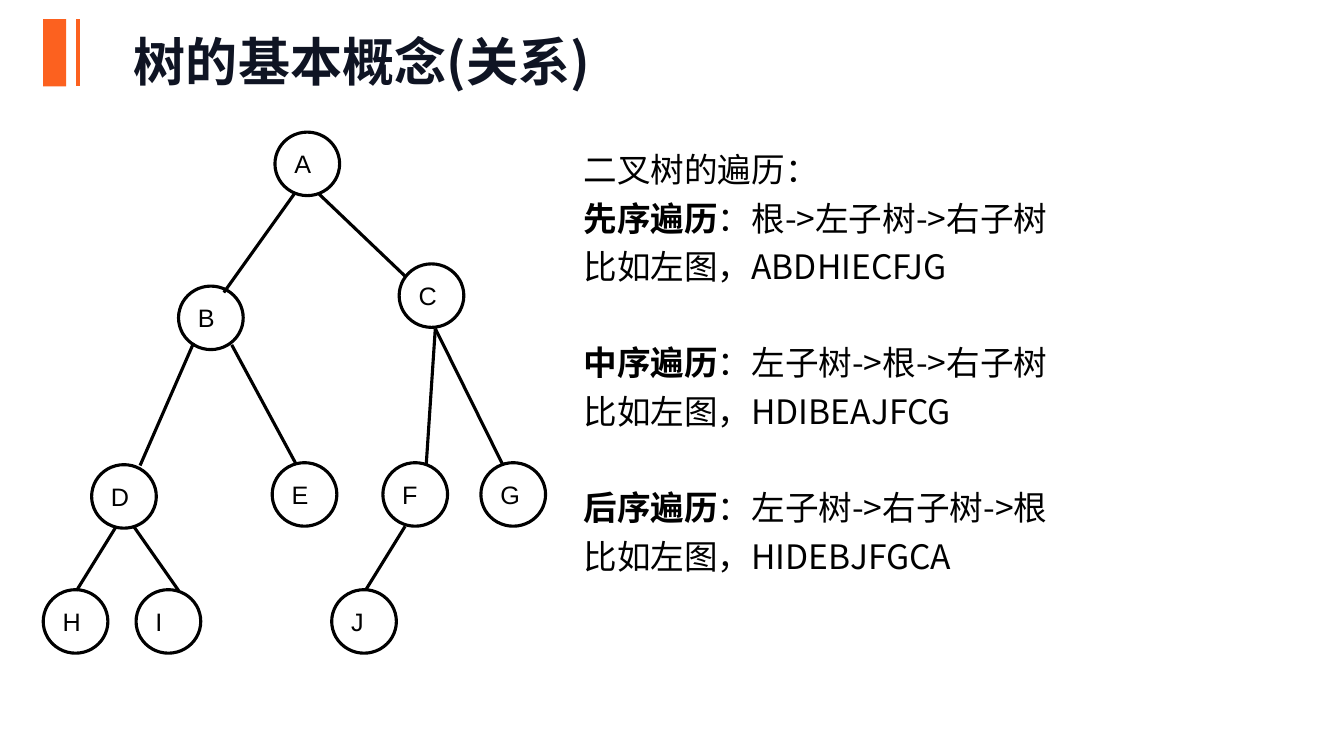
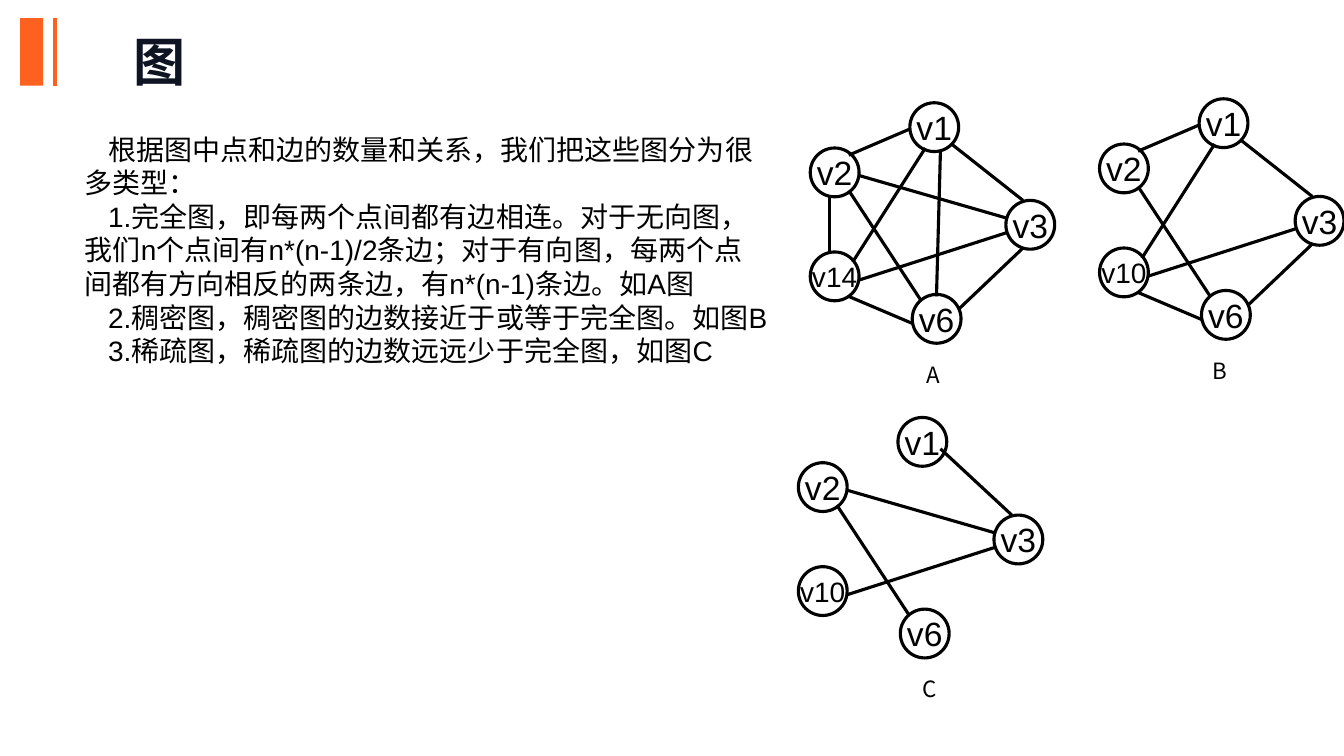
from lxml.etree import SubElement
from pptx import Presentation
from pptx.dml.color import RGBColor
from pptx.enum.shapes import MSO_CONNECTOR as Connector, MSO_SHAPE as Preset
from pptx.enum.text import MSO_ANCHOR as Anchor, MSO_AUTO_SIZE as AutoSize, PP_ALIGN as Align
from pptx.oxml.ns import qn
from pptx.util import Cm, Pt

ORANGE, NAVY, BLACK = "FC611F", "0F1423", "000000"
SANS, CJK = "Arial", "Noto Sans CJK SC"


def color(value):
    return RGBColor.from_string(value)


class Deck:
    def __init__(self):
        self.presentation = Presentation()
        self.presentation.slide_width = Cm(33.87)
        self.presentation.slide_height = Cm(19.05)
        self.slide = None

    def add_slide(self, title, mark_left, mark_top):
        layout = self.presentation.slide_layouts[1]
        self.slide = self.presentation.slides.add_slide(layout)
        self.mark(mark_left, mark_top)
        shape = self.slide.shapes.title
        self.place(shape, 3.12, -0.43, 25.98, 3.45)
        shape.text_frame.text = title
        shape.text_frame.vertical_anchor = Anchor.MIDDLE
        paragraph = shape.text_frame.paragraphs[0]
        self.style(paragraph, 37.2, CJK, NAVY, bold=True)
        paragraph.line_spacing = Pt(58)

    def place(self, shape, left, top, width, height):
        shape.left, shape.top = Cm(left), Cm(top)
        shape.width, shape.height = Cm(width), Cm(height)
        shape.text_frame.auto_size = AutoSize.NONE

    def style(self, paragraph, size, font, fill=BLACK, bold=False, align=Align.LEFT):
        paragraph.alignment = align
        paragraph.font.size = Pt(size)
        paragraph.font.bold = bold
        paragraph.font.name = font
        paragraph.font.color.rgb = color(fill)
        properties = paragraph._p.get_or_add_pPr().get_or_add_defRPr()
        SubElement(properties, qn("a:ea")).set("typeface", CJK)

    def mark(self, left, top):
        height = 1.7
        shape = self.slide.shapes.add_shape(
            Preset.RECTANGLE, Cm(left), Cm(top), Cm(0.58), Cm(height))
        shape.shadow.inherit = False
        shape.fill.solid()
        shape.fill.fore_color.rgb = color(ORANGE)
        shape.line.fill.background()
        rule = left + 0.87
        self.line((rule, top), (rule, top + height), ORANGE, 3)

    def line(self, start, end, stroke=BLACK, width=2.25):
        connector = self.slide.shapes.add_connector(
            Connector.STRAIGHT, *(Cm(value) for value in (*start, *end)))
        connector.line.color.rgb = color(stroke)
        connector.line.width = Pt(width)
        SubElement(connector._element.spPr, qn("a:effectLst"))

    def node(self, label, left, top, width, height, size, align):
        shape = self.slide.shapes.add_shape(
            Preset.OVAL, Cm(left), Cm(top), Cm(width), Cm(height))
        shape.shadow.inherit = False
        shape.fill.background()
        shape.line.color.rgb = color(BLACK)
        shape.line.width = Pt(2.25)
        frame = shape.text_frame
        frame.word_wrap = False
        frame.vertical_anchor = Anchor.MIDDLE
        frame.text = label
        self.style(frame.paragraphs[0], size, SANS, align=align)

    def caption(self, text, left, top):
        shape = self.slide.shapes.add_textbox(Cm(left), Cm(top), Cm(0.9), Cm(1.07))
        frame = shape.text_frame
        frame.word_wrap = False
        frame.text = text
        self.style(frame.paragraphs[0], 16, CJK)
        frame.paragraphs[0].line_spacing = 1.3

    def body(self, box, items, size, font, spacing, indent=0):
        shape = self.slide.placeholders[1]
        self.place(shape, *box)
        frame = shape.text_frame
        for index, (heading, text) in enumerate(items):
            paragraph = frame.add_paragraph() if index else frame.paragraphs[0]
            if heading:
                run = paragraph.add_run()
                run.text = heading
                run.font.bold = True
            paragraph.add_run().text = text
            paragraph.line_spacing = Pt(spacing)
            paragraph.space_before = Pt(spacing if heading and index > 1 else 0)
            properties = paragraph._p.get_or_add_pPr()
            properties.set("marL", "0")
            properties.set("indent", str(Cm(indent)))
            SubElement(properties, qn("a:buNone"))
            self.style(paragraph, size, font)

    def tree(self, nodes, edges):
        for start, end in edges:
            self.line(start, end)
        for label, (left, top) in nodes.items():
            self.node(label, left, top, 1.63, 1.6, 18, Align.LEFT)

    def graph(self, name, origin, caption_left, labels, edges):
        left, top = origin
        for label, (x, y) in zip(labels, GRAPH_NODES):
            size = 20 if len(label) > 2 else 24
            self.node(label, left + x, top + y, 1.23, 1.23, size, Align.CENTER)
        for x1, y1, x2, y2 in edges:
            self.line((left + x1, top + y1), (left + x2, top + y2))
        self.caption(name, left + caption_left, top + 6.17)


TREE_NODES = {
    "A": (6.93, 3.33), "B": (4.5, 7.21), "C": (10.06, 6.65),
    "D": (2.31, 11.71), "E": (6.86, 11.66), "F": (9.65, 11.66), "G": (12.12, 11.66),
    "H": (1.09, 14.86), "I": (3.43, 14.86), "J": (8.36, 14.86),
}
TREE_EDGES = [
    ((7.42, 4.88), (5.64, 7.37)), ((8.03, 4.88), (10.21, 6.96)),
    ((4.88, 8.64), (3.53, 11.73)), ((5.84, 8.69), (7.47, 11.71)),
    ((10.97, 8.28), (10.74, 11.73)), ((10.97, 8.28), (12.67, 11.71)),
    ((2.92, 13.28), (1.93, 14.88)), ((3.38, 13.28), (4.5, 14.88)),
    ((10.21, 13.26), (9.22, 14.86)),
]
TRAVERSALS = [
    ("", "二叉树的遍历："),
    ("先序遍历", "：根->左子树->右子树"),
    ("", "比如左图，ABDHIECFJG"),
    ("中序遍历", "：左子树->根->右子树"),
    ("", "比如左图，HDIBEAJFCG"),
    ("后序遍历", "：左子树->右子树->根"),
    ("", "比如左图，HIDEBJFGCA"),
]
GRAPH_NODES = [(2.51, 0), (0, 1.14), (4.93, 2.46), (0, 3.76), (2.57, 4.83)]
SPARSE_EDGES = [
    (2.79, 4.98, 0.97, 2.21),
    (1.22, 4.47, 4.93, 3.28),
]
V2_TO_V3 = (1.22, 1.83, 4.93, 2.9)
DENSE_EDGES = SPARSE_EDGES + [
    (2.57, 5.56, 0.97, 4.88),
    (3.73, 5.21, 5.36, 3.66),
    (2.51, 0.66, 0.97, 1.32),
    (3.56, 1.04, 5.36, 2.46),
    (1.07, 4.01, 2.9, 1.14),
]
COMPLETE_EDGES = DENSE_EDGES + [
    V2_TO_V3,
    (0.48, 2.36, 0.48, 3.78),
    (3.28, 1.22, 3.18, 4.88),
]
GRAPH_TYPES = [
    "根据图中点和边的数量和关系，我们把这些图分为很多类型：",
    "1.完全图，即每两个点间都有边相连。对于无向图，我们n个点间有n*(n-1)/2条边；"
    "对于有向图，每两个点间都有方向相反的两条边，有n*(n-1)条边。如A图",
    "2.稠密图，稠密图的边数接近于或等于完全图。如图B",
    "3.稀疏图，稀疏图的边数远远少于完全图，如图C",
]


def main():
    deck = Deck()
    deck.add_slide("树的基本概念(关系)", 1.09, 0.48)
    deck.tree(TREE_NODES, TREE_EDGES)
    deck.body((14.45, 3.43, 17.45, 11.33), TRAVERSALS, 24, CJK, 34.5)

    deck.add_slide("图", 0.51, 0.46)
    deck.body((1.88, 3.2, 17.78, 6.25), [("", text) for text in GRAPH_TYPES],
              20, SANS, 24, indent=0.59)
    labels = ["v1", "v2", "v3", "v10", "v6"]
    deck.graph("A", (20.42, 2.59), 2.69, ["v1", "v2", "v3", "v14", "v6"], COMPLETE_EDGES)
    deck.graph("B", (27.71, 2.49), 2.59, labels, DENSE_EDGES)
    deck.graph("C", (20.12, 10.52), 2.89, labels,
               SPARSE_EDGES + [V2_TO_V3, (3.58, 0.79, 5.38, 2.46)])
    deck.presentation.save("out.pptx")


if __name__ == "__main__":
    main()
